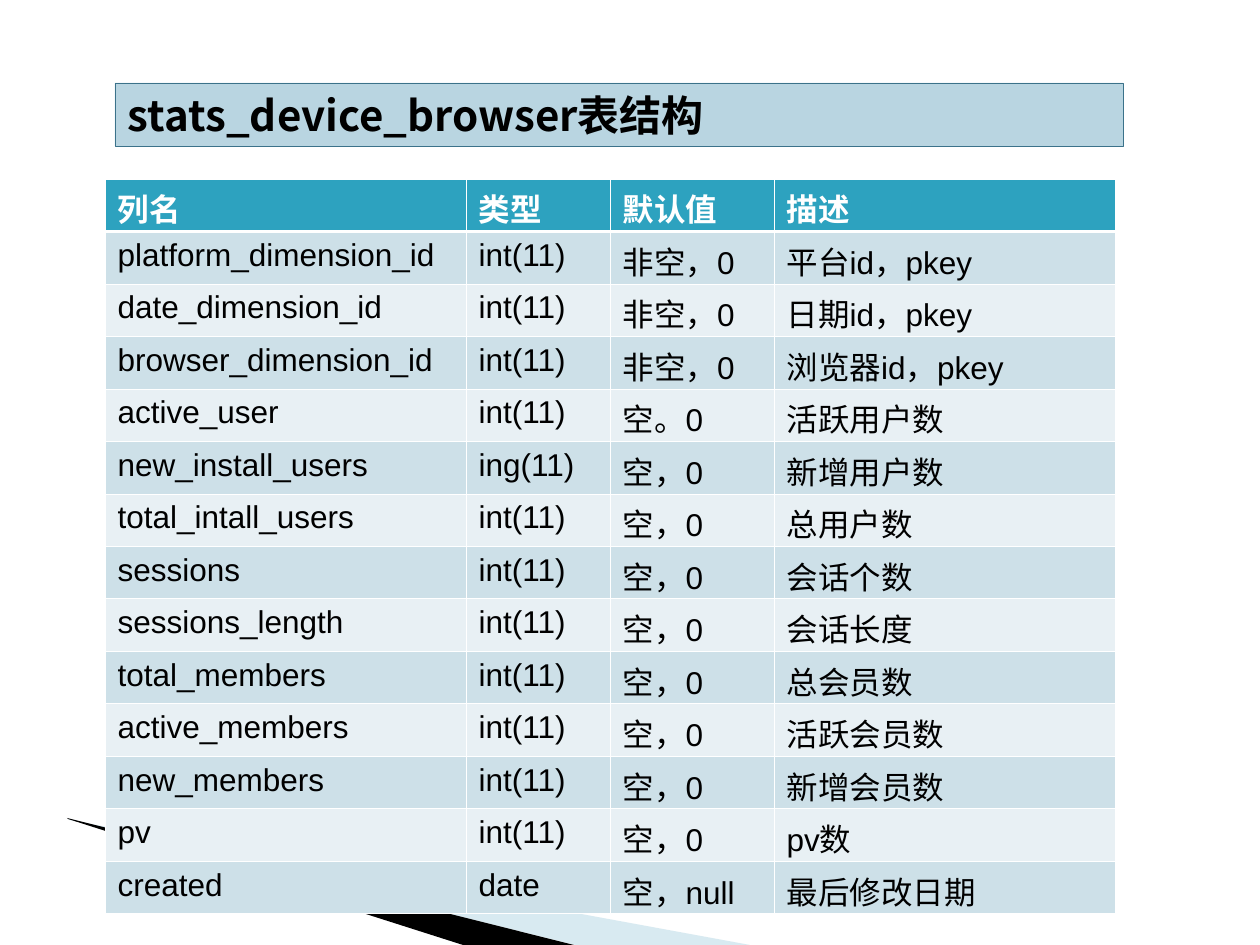
from dataclasses import dataclass
from lxml.etree import SubElement
from pptx import Presentation
from pptx.dml.color import RGBColor
from pptx.enum.text import MSO_ANCHOR as Anchor, MSO_AUTO_SIZE as AutoSize, PP_ALIGN as Align
from pptx.oxml.ns import qn
from pptx.slide import Slide
from pptx.util import Inches, Pt

PX_PER_INCH = 126

HEADER = ["列名", "类型", "默认值", "描述"]
COLUMNS = [
    ["platform_dimension_id", "int(11)", "非空，0", "平台id，pkey"],
    ["date_dimension_id", "int(11)", "非空，0", "日期id，pkey"],
    ["browser_dimension_id", "int(11)", "非空，0", "浏览器id，pkey"],
    ["active_user", "int(11)", "空。0", "活跃用户数"],
    ["new_install_users", "ing(11)", "空，0", "新增用户数"],
    ["total_intall_users", "int(11)", "空，0", "总用户数"],
    ["sessions", "int(11)", "空，0", "会话个数"],
    ["sessions_length", "int(11)", "空，0", "会话长度"],
    ["total_members", "int(11)", "空，0", "总会员数"],
    ["active_members", "int(11)", "空，0", "活跃会员数"],
    ["new_members", "int(11)", "空，0", "新增会员数"],
    ["pv", "int(11)", "空，0", "pv数"],
    ["created", "date", "空，null", "最后修改日期"],
]


def px(length):
    return Inches(length / PX_PER_INCH)


def rgb(value):
    return RGBColor.from_string(value)


@dataclass
class Page:
    slide: Slide
    latin: str = "Arial"
    chinese: str = "Noto Sans CJK SC"
    ink: str = "000000"
    paper: str = "FFFFFF"
    accent: str = "2DA2BF"
    bands: tuple = ("CDE0E8", "E8F0F4")

    def format_text(self, para, size, font, color, bold):
        para.alignment = Align.LEFT
        for span in para.runs:
            span.font.size = Pt(size)
            span.font.name = font
            span.font.bold = bold
            span.font.color.rgb = rgb(color)
            SubElement(span.font._element, qn("a:ea"), typeface=self.chinese)

    def title(self, text, left, top, width, height):
        box = self.slide.shapes.title
        box.left, box.top, box.width, box.height = map(px, (left, top, width, height))
        box.fill.solid()
        box.fill.fore_color.rgb = rgb("B9D5E1")
        box.line.color.rgb = rgb("3B728A")
        box.line.width = Pt(0.25)
        frame = box.text_frame
        frame.text = text
        frame.auto_size = AutoSize.NONE
        frame.vertical_anchor = Anchor.MIDDLE
        self.format_text(frame.paragraphs[0], 24, self.chinese, self.ink, True)

    def wedge(self, points, color, opacity=100):
        start, *others = [(px(x), px(y)) for x, y in points]
        builder = self.slide.shapes.build_freeform(*start)
        builder.add_line_segments(others, close=True)
        shape = builder.convert_to_shape()
        shape.shadow.inherit = False
        shape.line.fill.background()
        shape.fill.solid()
        shape.fill.fore_color.rgb = rgb(color)
        if opacity < 100:
            tint = shape.fill._xPr.find(".//" + qn("a:srgbClr"))
            SubElement(tint, qn("a:alpha"), val=str(opacity * 1000))

    def borders(self, cell, top, bottom):
        """Draw the four cell edges; side edges are always thin."""
        properties = cell._tc.get_or_add_tcPr()
        for edge, width in (("L", 0.45), ("R", 0.45), ("T", top), ("B", bottom)):
            line = SubElement(properties, qn(f"a:ln{edge}"), w=str(Pt(width)))
            fill = SubElement(line, qn("a:solidFill"))
            SubElement(fill, qn("a:srgbClr"), val=self.paper)

    def cell(self, cell, text, row):
        header = row == 0
        self.borders(cell, 1.47 if row == 1 else 0.45, 1.47 if header else 0.45)
        cell.fill.solid()
        cell.fill.fore_color.rgb = rgb(self.accent if header else self.bands[(row - 1) % 2])
        cell.margin_bottom = 0
        cell.text_frame.text = text
        color = self.paper if header else self.ink
        self.format_text(cell.text_frame.paragraphs[0], 18, self.latin, color, header)

    def table(self, rows, left, top, widths, height):
        frame = self.slide.shapes.add_table(
            len(rows), len(widths), px(left), px(top), px(sum(widths)), px(height))
        table = frame.table
        for column, width in zip(table.columns, widths):
            column.width = px(width)
        for row, texts in enumerate(rows):
            table.rows[row].height = px(height / len(rows))
            for column, text in enumerate(texts):
                self.cell(table.cell(row, column), text, row)


def main():
    deck = Presentation()
    deck.slide_width, deck.slide_height = Inches(10), Inches(7.5)
    page = Page(deck.slides.add_slide(deck.slide_layouts[5]))
    page.wedge([(69, 820), (750, 945), (575, 945), (69, 819)], "9FCBDC", opacity=40)
    page.wedge([(67, 818), (574, 945), (463, 945), (68, 819)], page.ink)
    page.title("stats_device_browser表结构", 115, 83, 1008, 63)
    page.table([HEADER, *COLUMNS], 105, 179, [361, 144, 164, 341], 735)
    deck.save("out.pptx")


if __name__ == "__main__":
    main()
